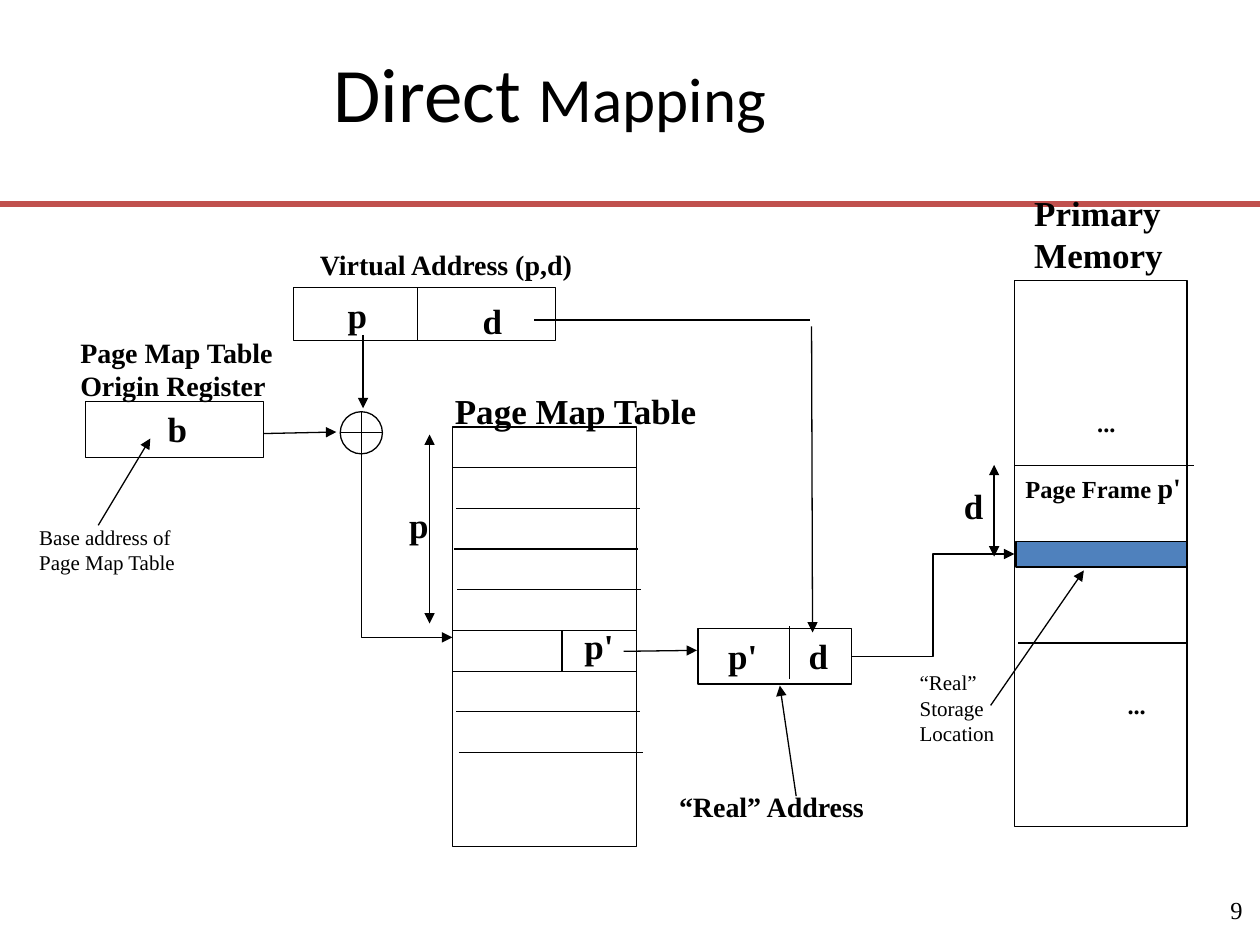
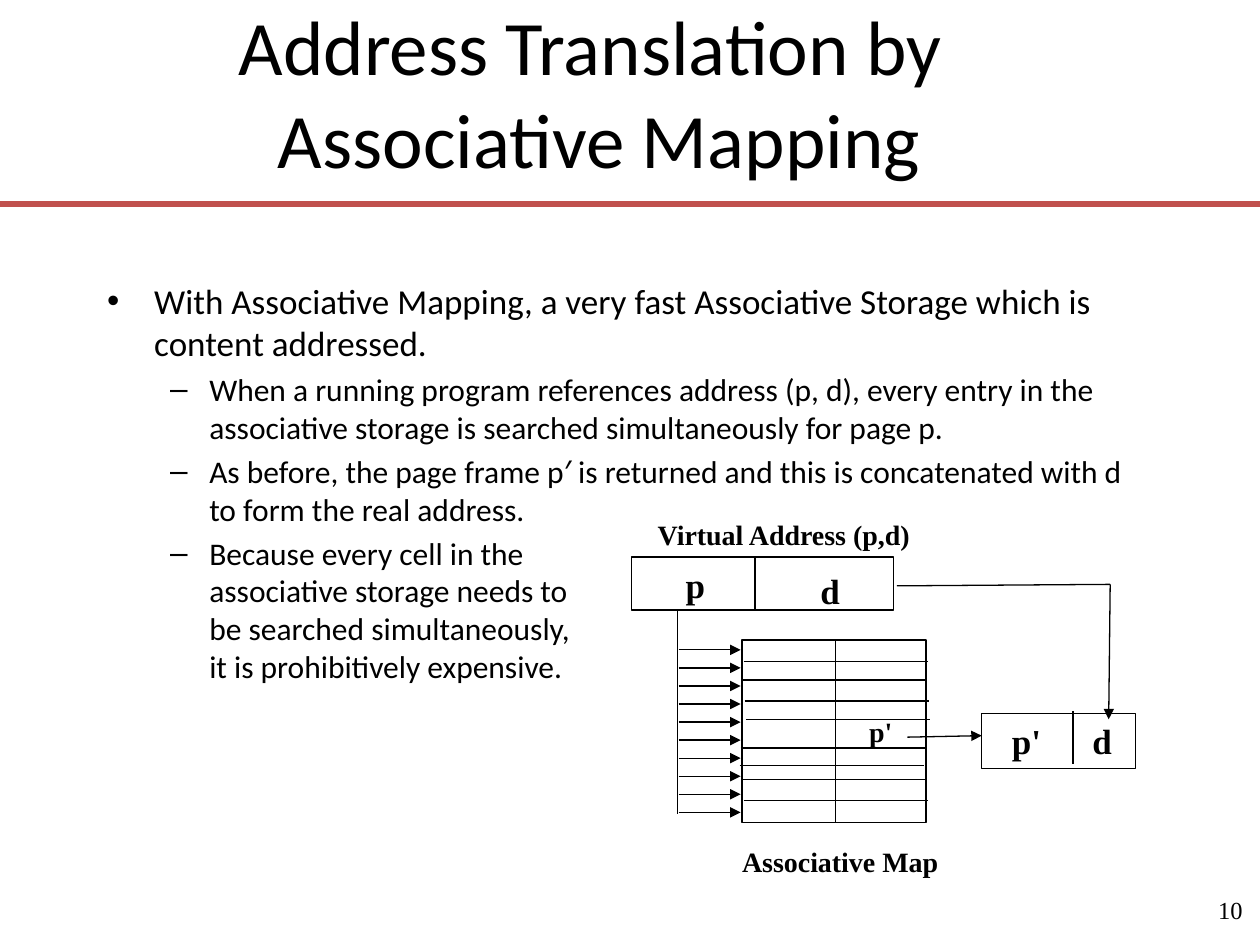
import pptx
import pptx.dml.color
import pptx.enum.shapes
import pptx.enum.text
import pptx.oxml
import pptx.oxml.ns
import pptx.util

Cm, Pt = pptx.util.Cm, pptx.util.Pt
SHAPE = pptx.enum.shapes.MSO_SHAPE
CONNECTOR = pptx.enum.shapes.MSO_CONNECTOR
ALIGN = pptx.enum.text.PP_ALIGN
ANCHOR = pptx.enum.text.MSO_ANCHOR
AUTO = pptx.enum.text.MSO_AUTO_SIZE
qn = pptx.oxml.ns.qn

COLOURS = {"ink": "000000", "rule": "C0504D", "storage": "4F81BD"}
HEADING_FONT, DIAGRAM_FONT = "Calibri", "Times New Roman"
LABEL_FRAME = {"word_wrap": False, "auto_size": AUTO.NONE}
TITLE_FRAME = {"word_wrap": True, "auto_size": AUTO.NONE, "vertical_anchor": ANCHOR.MIDDLE}
NUMBER_FRAME = {"word_wrap": True, "vertical_anchor": ANCHOR.MIDDLE}


def colour(name):
    """Return the named palette colour."""
    return pptx.dml.color.RGBColor.from_string(COLOURS[name])


def apply(target, formats):
    """Set each attribute of target named in formats."""
    for key, value in formats.items():
        setattr(target, key, value)


def set_type(paragraph, size, font=DIAGRAM_FONT, bold=False):
    """Format every run of a paragraph."""
    for run in paragraph.runs:
        apply(run.font, {"size": Pt(size), "name": font, "bold": bold})
        run.font.color.rgb = colour("ink")


def add_piece(paragraph, text, size, font=DIAGRAM_FONT, bold=False):
    """Append a run with its own size to a paragraph."""
    run = paragraph.add_run()
    run.text = text
    apply(run.font, {"size": Pt(size), "name": font, "bold": bold})
    run.font.color.rgb = colour("ink")


def set_outline(line, ink="ink", width=0.75):
    """Give a line its colour and width."""
    line.color.rgb = colour(ink)
    line.width = Pt(width)


class Region:
    """A part of a slide whose contents are placed from its top left corner in cm."""

    def __init__(self, slide, left, top):
        """Remember the slide and the corner."""
        self.shapes, self.left, self.top = slide.shapes, left, top

    def at(self, x, y):
        """Turn a place in the region into a place on the slide."""
        return Cm(self.left + x), Cm(self.top + y)

    def box(self, x, y, width, height, kind=SHAPE.RECTANGLE, fill=None):
        """Draw an outlined shape."""
        shape = self.shapes.add_shape(kind, *self.at(x, y), Cm(width), Cm(height))
        shape.shadow.inherit = False
        if fill:
            shape.fill.solid()
            shape.fill.fore_color.rgb = colour(fill)
        else:
            shape.fill.background()
        set_outline(shape.line)

    def label(self, x, y, width, text, size=20, bold=True):
        """Write a label of one or more lines and return its last paragraph."""
        lines = text.split("\n")
        height = 0.25 + len(lines) * size * 0.042
        frame = self.shapes.add_textbox(*self.at(x, y), Cm(width), Cm(height)).text_frame
        apply(frame, LABEL_FRAME)
        frame.text = text
        for paragraph in frame.paragraphs:
            set_type(paragraph, size, bold=bold)
        return frame.paragraphs[-1]

    def line(self, start, end, arrows=(), kind=CONNECTOR.STRAIGHT, ink="ink", width=0.75):
        """Draw a connector with arrowheads at the ends named in arrows."""
        link = self.shapes.add_connector(kind, *self.at(*start), *self.at(*end))
        set_outline(link.line, ink, width)
        outline = link.line._get_or_add_ln()
        for end_name in arrows:
            head = pptx.oxml.parse_xml(
                f'<a:{end_name} {pptx.oxml.ns.nsdecls("a")} type="triangle"/>')
            outline.append(head)
        link.element.spPr.append(
            pptx.oxml.parse_xml(f'<a:effectLst {pptx.oxml.ns.nsdecls("a")}/>'))
        return link

    def arrow(self, start, end, kind=CONNECTOR.STRAIGHT):
        """Draw a connector pointing at its end."""
        return self.line(start, end, ("tailEnd",), kind)

    def down_then_right(self, start, end):
        """Draw a one-corner arrow that goes down and then right."""
        (x1, y1), (x2, y2) = start, end
        middle_x, middle_y = (x1 + x2) / 2, (y1 + y2) / 2
        half_long, half_short = (y2 - y1) / 2, (x2 - x1) / 2
        link = self.arrow((middle_x + half_long, middle_y - half_short),
                          (middle_x - half_long, middle_y + half_short), CONNECTOR.ELBOW)
        properties = link.element.spPr
        properties.find(qn("a:prstGeom")).set("prst", "bentConnector2")
        properties.find(qn("a:xfrm")).set("rot", "16200000")

    def rows(self, places, width):
        """Rule lines of one width at each (x, y) place."""
        for x, y in places:
            self.line((x, y), (x + width, y))


def add_base(deck, number, title_width, pieces):
    """Add a slide with its title, rule and page number."""
    slide = deck.slides.add_slide(deck.slide_layouts[5])
    page = Region(slide, 0, 0)
    page.line((0, 4.11), (25.4, 4.11), ink="rule", width=3.5)
    title = slide.shapes.title
    apply(title, {"left": Cm(1.27), "top": Cm(0.76), "width": Cm(title_width), "height": Cm(2.16)})
    apply(title.text_frame, TITLE_FRAME)
    heading = title.text_frame.paragraphs[0]
    heading.alignment = ALIGN.CENTER
    (text, size), *rest = pieces
    heading.text = text
    set_type(heading, size, HEADING_FONT)
    for text, size in rest:
        add_piece(heading, text, size, HEADING_FONT)
    frame = slide.shapes.add_textbox(Cm(23.9), Cm(17.73), Cm(1.4), Cm(1.22)).text_frame
    apply(frame, NUMBER_FRAME)
    frame.text = str(number)
    frame.paragraphs[0].alignment = ALIGN.RIGHT
    set_type(frame.paragraphs[0], 14)
    return slide


def virtual_address(region):
    """Draw the virtual address with its p and d fields."""
    region.box(0, 0, 5.28, 1.07)
    region.line((2.49, 0), (2.49, 1.07))
    region.label(0.84, 0, 0.91, "p")
    region.label(3.56, 0.13, 0.91, "d")
    region.label(0.28, -0.93, 5.66, "Virtual Address (p,d)", 16)


def real_address(region):
    """Draw the real address with its p' and d fields."""
    region.box(0, 0, 3.1, 1.12)
    region.line((1.84, -0.05), (1.84, 1.02))
    region.label(0.36, 0, 1.09, "p'")
    region.label(1.98, 0, 0.91, "d")


def origin_register(region):
    """Draw the origin register and the adder it feeds."""
    region.box(0, 0, 3.58, 1.12)
    region.label(1.4, 0, 0.91, "b")
    region.label(-0.36, -1.47, 4.6, "Page Map Table\nOrigin Register", 16)
    region.label(-1.19, 2.34, 3.3, "Base address of\nPage Map Table", 12, False)
    region.arrow((0.25, 2.49), (1.3, 0.74))
    region.arrow((3.58, 0.64), (5.05, 0.61))
    adder_x, adder_y, size = 5.13, 0.2, 0.85
    region.box(adder_x, adder_y, size, size, SHAPE.OVAL)
    region.line((adder_x + size / 2, adder_y), (adder_x + size / 2, adder_y + size))
    region.line((adder_x, adder_y + size / 2), (adder_x + size, adder_y + size / 2))


def page_map_table(region):
    """Draw the page map table with the entry found at p."""
    width, pitch = 3.71, 0.82
    region.box(0, 0, width, 8.46)
    region.label(-0.2, -0.89, 5.46, "Page Map Table")
    nudges = (0, 0.08, 0.03, 0.1, 0, 0, 0.08, 0.13)
    region.rows([(x, pitch * row) for row, x in enumerate(nudges, 1)], width)
    region.line((2.21, 5 * pitch), (2.21, 6 * pitch))
    region.label(2.41, 3.86, 1.09, "p'")
    region.arrow((3.45, 4.52), (4.93, 4.5))
    region.line((-0.46, 0.15), (-0.46, 3.96), ("headEnd", "tailEnd"))
    region.label(-1.12, 1.42, 0.91, "p")


def primary_memory(region):
    """Draw primary memory with the page frame and the storage location."""
    region.box(0, 0, 3.48, 11)
    region.label(0.15, -1.93, 3.23, "Primary\nMemory")
    region.line((0, 3.73), (3.61, 3.73))
    region.line((0.08, 7.3), (3.48, 7.3))
    region.box(0.03, 5.26, 3.45, 0.51, fill="storage")
    frame_name = region.label(-0.03, 3.71, 3.63, "Page Frame ", 14)
    add_piece(frame_name, "p'", 16, bold=True)
    for x, y in ((1.42, 2.44), (2.03, 8.13)):
        region.label(x, y, 0.88, "...", 14)
    region.line((-0.41, 3.71), (-0.41, 5.56), ("headEnd", "tailEnd"))
    region.label(-1.27, 3.99, 0.91, "d")
    region.label(-2.16, 7.72, 2.03, "“Real”\nStorage\nLocation", 12, False)
    region.arrow((-0.48, 8.56), (1.4, 5.84))


def direct_links(region):
    """Join the address fields, the adder, the table and memory."""
    region.line((3.48, 0), (9.04, 0))
    region.arrow((9.07, 0.13), (9.09, 6.3))
    region.arrow((9.88, 6.78), (13.16, 4.72), CONNECTOR.ELBOW)
    region.down_then_right((0, 2.69), (1.83, 6.4))
    region.arrow((0.03, 0.3), (0.03, 1.78))
    region.arrow((8.76, 9.6), (8.43, 7.37))
    region.label(6.15, 9.35, 4.29, "“Real” Address", 16)


def associative_map(region):
    """Draw the associative map with its parallel search and results."""
    width, height = 3.71, 3.68
    region.box(0, 0, width, height)
    region.label(-0.25, 4.01, 4.5, "Associative Map", 16)
    region.line((1.88, 0), (1.88, height))
    region.rows(((0.03, 0.43), (0, 0.81), (0.05, 1.23), (0.08, 1.61),
                 (-0.03, 2.18), (-0.05, 2.53), (0, 2.82), (0.03, 3.24)), width)
    region.label(2.31, 1.37, 1, "p'", 16)
    region.line((-1.3, -0.58), (-1.3, 3.51))
    for probe in range(10):
        y = 0.2 + 0.364 * probe
        region.arrow((-1.28, y), (-0.03, y))
    region.arrow((3.33, 1.96), (4.83, 1.93))
    region.line((3.12, -1.09), (7.42, -1.12))
    region.arrow((7.42, -1.12), (7.39, 1.6))


def bullet_list(region, width, height, items):
    """Write (level, text) items as a bulleted list."""
    levels = ({"size": 20, "mark": "•", "indent": 0.95, "hang": 0.95},
              {"size": 18, "mark": "–", "indent": 2.06, "hang": 0.79})
    frame = region.shapes.add_textbox(*region.at(0, 0), Cm(width), Cm(height)).text_frame
    frame.word_wrap = True
    frame.text = "\n".join(text for _, text in items)
    for paragraph, (level, _) in zip(frame.paragraphs, items):
        style = levels[level]
        apply(paragraph, {"level": level, "space_before": Pt(style["size"] * 0.2)})
        set_type(paragraph, style["size"], HEADING_FONT)
        properties = paragraph._p.get_or_add_pPr()
        properties.set("marL", str(Cm(style["indent"])))
        properties.set("indent", str(-Cm(style["hang"])))
        for tag, key, value in (("buFont", "typeface", "Arial"), ("buChar", "char", style["mark"])):
            properties.append(pptx.oxml.parse_xml(
                f'<a:{tag} {pptx.oxml.ns.nsdecls("a")} {key}="{value}"/>'))


def direct_mapping(deck):
    """Build the direct mapping slide."""
    slide = add_base(deck, 9, 19.63, (("Direct ", 44), ("Mapping", 36)))
    virtual_address(Region(slide, 5.92, 5.79))
    page_map_table(Region(slide, 9.12, 8.61))
    real_address(Region(slide, 14.07, 12.67))
    primary_memory(Region(slide, 20.45, 5.66))
    origin_register(Region(slide, 1.73, 8.1))
    direct_links(Region(slide, 7.29, 6.45))


def associative_mapping(deck):
    """Build the associative mapping slide."""
    slide = add_base(deck, 10, 21.62, (("Address Translation by \vAssociative Mapping", 44),))
    bullet_list(Region(slide, 1.91, 5.51), 21.59, 7.47, (
        (0, "With Associative Mapping, a very fast Associative Storage which is content addressed."),
        (1, "When a running program references address (p, d), every entry in the "
            "associative storage is searched simultaneously for page p."),
        (1, "As before, the page frame p′ is returned and this is concatenated with d "
            "to form the real address."),
        (1, "Because every cell in the \vassociative storage needs to \v"
            "be searched simultaneously, \vit is prohibitively expensive.")))
    virtual_address(Region(slide, 12.73, 11.23))
    associative_map(Region(slide, 14.96, 12.9))
    real_address(Region(slide, 19.79, 14.38))


def main():
    """Build and save the deck."""
    deck = pptx.Presentation()
    apply(deck, {"slide_width": Cm(25.4), "slide_height": Cm(19.05)})
    direct_mapping(deck)
    associative_mapping(deck)
    deck.save("out.pptx")


if __name__ == "__main__":
    main()
